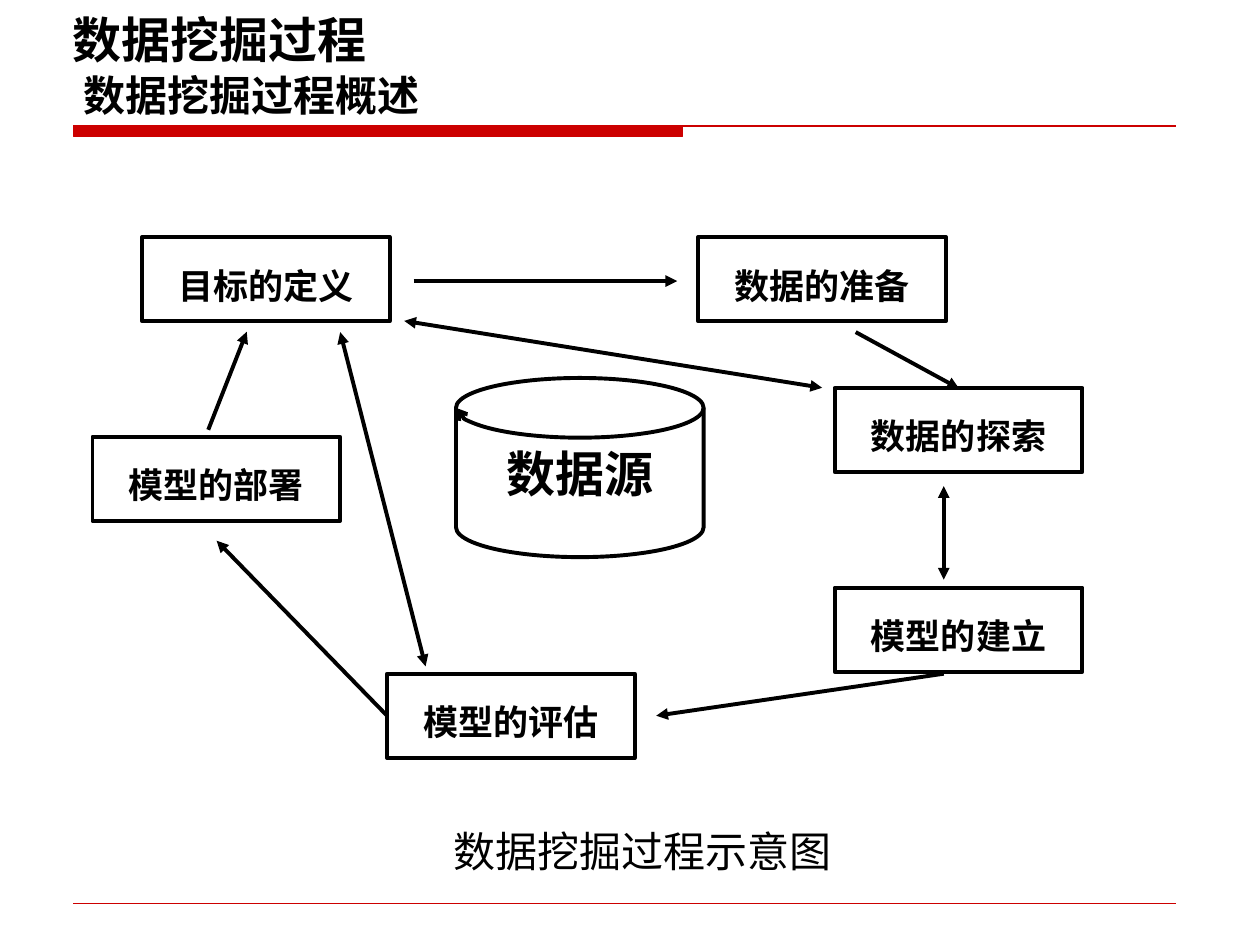
"""Build the slide showing the data mining process as a cycle around a data source."""
import lxml.etree
import pptx
import pptx.dml.color
import pptx.enum.shapes
import pptx.enum.text
import pptx.oxml.ns
import pptx.util

Pt = pptx.util.Pt
RGB = pptx.dml.color.RGBColor
Kind = pptx.enum.shapes.MSO_SHAPE
Side = pptx.enum.text.PP_ALIGN
Hold = pptx.enum.text.MSO_ANCHOR
qn = pptx.oxml.ns.qn


class Theme:
    ink = RGB(0, 0, 0)
    paper = RGB(255, 255, 255)
    red = RGB(0xCC, 0, 0)
    font = "Noto Sans CJK SC"
    large = Pt(28)
    middle = Pt(24)
    small = Pt(20)
    thick = Pt(2.25)
    thin = Pt(0.75)


def write(shape, words, size, bold=True, align=Side.LEFT, space=1.0, anchor=Hold.TOP, wrap=True, left=7.2):
    frame = shape.text_frame
    frame.word_wrap = wrap
    frame.vertical_anchor = anchor
    frame.margin_left = Pt(left)
    para = frame.paragraphs[0]
    para.alignment = align
    para.line_spacing = space
    run = para.add_run()
    run.text = words
    run.font.size = size
    run.font.bold = bold
    run.font.color.rgb = Theme.ink
    run.font.name = Theme.font
    east = lxml.etree.SubElement(run._r.get_or_add_rPr(), qn("a:ea"))
    east.set("typeface", Theme.font)


def link(start, end, color, width, ends=()):
    line = slide.shapes.add_connector(
        pptx.enum.shapes.MSO_CONNECTOR.STRAIGHT, *[Pt(n) for n in (*start, *end)])
    line.line.color.rgb = color
    line.line.width = width
    props = line._element.spPr
    for end in ends:
        lxml.etree.SubElement(props.find(qn("a:ln")), qn(end)).set("type", "triangle")
    lxml.etree.SubElement(props, qn("a:effectLst"))


deck = pptx.Presentation()
deck.slide_width = Pt(720)
deck.slide_height = Pt(540)
slide = deck.slides.add_slide(deck.slide_layouts[6])

for y in (72, 516.4):
    link((42, y), (672, y), Theme.red, Theme.thin)
bar = slide.shapes.add_shape(Kind.RECTANGLE, Pt(42), Pt(72), Pt(348), Pt(6))
bar.shadow.inherit = False
bar.fill.solid()
bar.fill.fore_color.rgb = Theme.red
bar.line.color.rgb = Theme.red
bar.line.width = Theme.thin

topic = slide.shapes.add_textbox(Pt(40.4), Pt(36), Pt(361.5), Pt(38))
write(topic, "数据挖掘过程概述", Theme.middle)
title = slide.shapes.add_textbox(Pt(21.6), Pt(0), Pt(262), Pt(44.6))
write(title, "数据挖掘过程", Theme.large, anchor=Hold.MIDDLE, left=20)

wide, high = 141.5, 48.2
nodes = [
    ("目标的定义", 81.2, 135.4, high, Kind.RECTANGLE),
    ("数据的准备", 399, 135.4, high, Kind.RECTANGLE),
    ("模型的部署", 52.9, 249.6, high, Kind.RECTANGLE),
    ("数据的探索", 477, 221.6, high, Kind.RECTANGLE),
    ("模型的建立", 477, 335.8, high, Kind.RECTANGLE),
    ("模型的评估", 221.2, 385, high, Kind.RECTANGLE),
    ("数据源", 260.6, 216, 102.4, Kind.FLOWCHART_MAGNETIC_DISK),
]
for words, x, y, tall, kind in nodes:
    node = slide.shapes.add_shape(kind, Pt(x), Pt(y), Pt(wide), Pt(tall))
    node.shadow.inherit = False
    node.fill.solid()
    node.fill.fore_color.rgb = Theme.paper
    node.line.color.rgb = Theme.ink
    node.line.width = Theme.thick
    edge = node._element.spPr.find(qn("a:ln"))
    lxml.etree.SubElement(edge, qn("a:tailEnd")).set("type", "arrow")
    step = kind == Kind.RECTANGLE
    write(node, words, Theme.small if step else Theme.large, align=Side.CENTER,
          space=1.5 if step else 1.0, wrap=False)

one = ("a:tailEnd",)
both = ("a:headEnd", "a:tailEnd")
links = [
    ((236.4, 160.6), (387, 160.6), one),
    ((489, 189.8), (548, 222), one),
    ((119, 245.6), (141, 189.6), one),
    ((539.3, 385), (375, 409), one),
    ((221.2, 409), (123.8, 309), one),
    ((231, 183.4), (469.8, 221.6), both),
    ((194.4, 189.8), (243.2, 380.8), both),
    ((539.3, 331.2), (539.3, 277.8), both),
]
for start, end, ends in links:
    link(start, end, Theme.ink, Theme.thick, ends)

note = slide.shapes.add_textbox(Pt(252), Pt(468), Pt(258), Pt(44.6))
write(note, "数据挖掘过程示意图", Theme.middle, bold=False)

deck.save("out.pptx")
